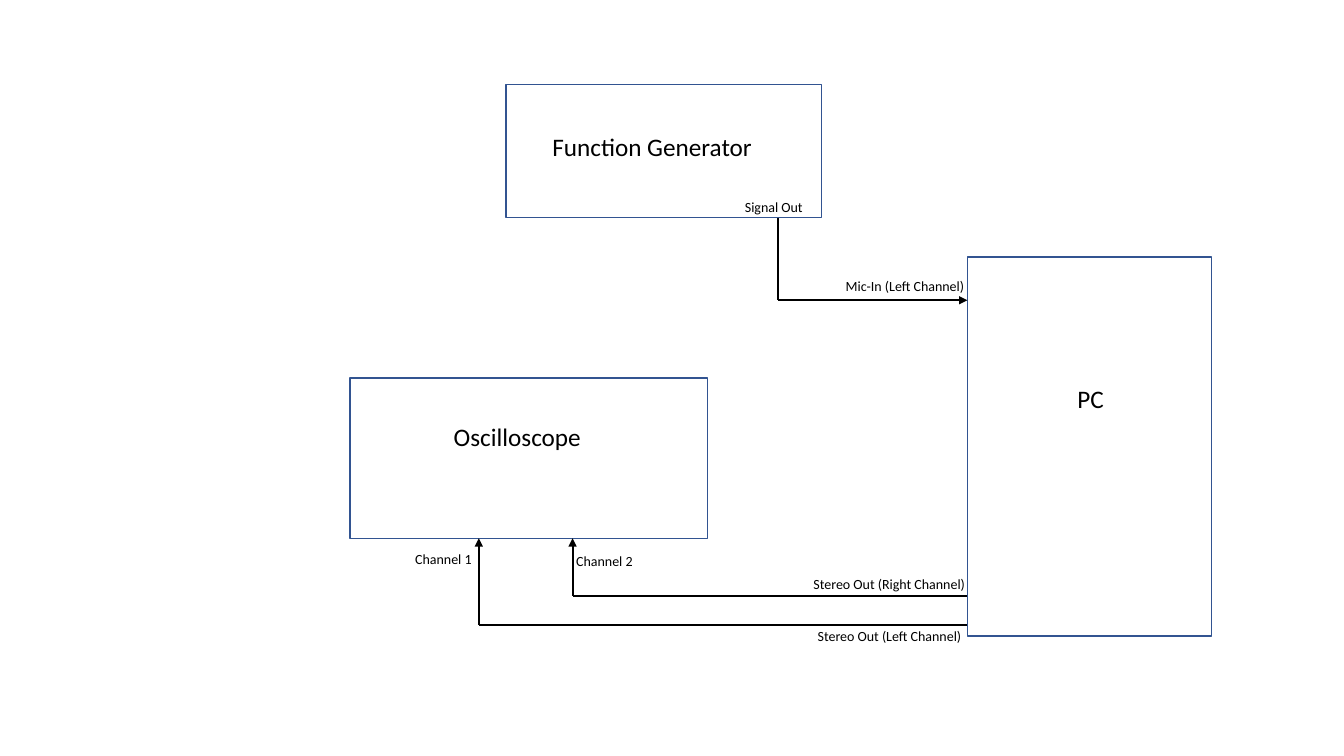
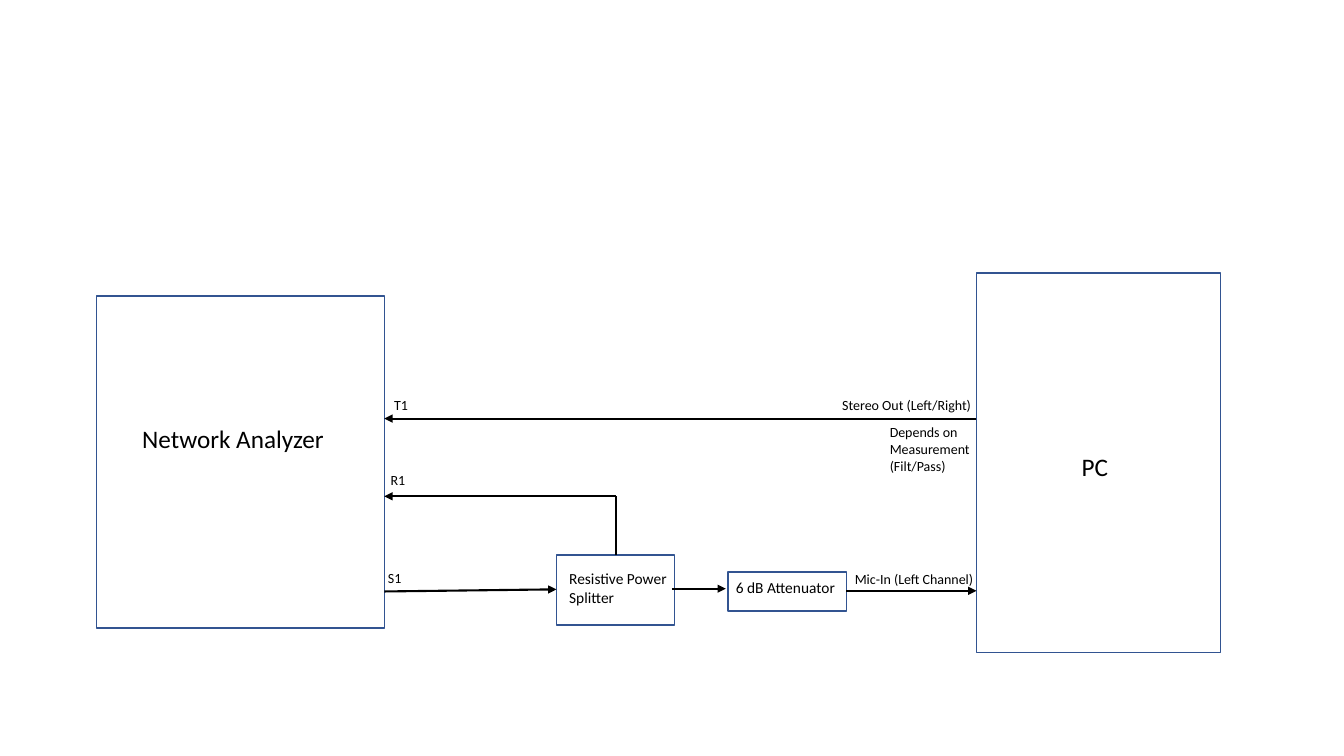
from itertools import pairwise
from lxml.etree import SubElement as Sub
from pptx import Presentation
from pptx.dml.color import RGBColor as RGB
from pptx.enum.shapes import MSO_CONNECTOR as Conn, MSO_SHAPE as Form
from pptx.enum.text import MSO_AUTO_SIZE as Fit
from pptx.oxml.ns import qn
from pptx.util import Pt

HUES = {"ink": "000000", "edge": "325491", "fill": "FFFFFF"}
PC = (174.5, 271)
UNIT = 84.5


class Deck:
    """Draws block diagrams in one style on the current slide."""

    font = "Calibri"
    title, unit, label = 18, 11, 10

    def __init__(self):
        self.show = Presentation()
        self.show.slide_width, self.show.slide_height = Pt(960), Pt(540)
        self.shapes = None

    def hue(self, name):
        return RGB.from_string(HUES[name])

    def page(self):
        self.shapes = self.show.slides.add_slide(self.show.slide_layouts[6]).shapes

    def box(self, x, y, w, h):
        rect = self.shapes.add_shape(Form.RECTANGLE, Pt(x), Pt(y), Pt(w), Pt(h))
        rect.shadow.inherit = False
        rect.fill.solid()
        rect.fill.fore_color.rgb = self.hue("fill")
        rect.line.color.rgb = self.hue("edge")
        rect.line.width = Pt(1)

    def text(self, words, x, y, w=103, size=label, rows=1):
        high = 1.2 * size * rows + 7.2
        frame = self.shapes.add_textbox(Pt(x), Pt(y), Pt(w), Pt(high)).text_frame
        frame.word_wrap = True
        frame.auto_size = Fit.SHAPE_TO_FIT_TEXT
        run = frame.paragraphs[0].add_run()
        run.text = words
        run.font.name = self.font
        run.font.size = Pt(size)
        run.font.color.rgb = self.hue("ink")

    def head(self, words, x, y, w=188.5):
        self.text(words, x, y, w, self.title)

    def wire(self, *stops):
        for start, end in pairwise(stops):
            ends = [Pt(n) for n in (*start, *end)]
            line = self.shapes.add_connector(Conn.STRAIGHT, *ends)
            line.line.color.rgb = self.hue("ink")
            line.line.width = Pt(1.5)
            props = line._element.spPr
            Sub(props, qn("a:effectLst"))
        Sub(props.find(qn("a:ln")), qn("a:tailEnd"), type="triangle")


def scope(deck):
    deck.page()
    left, base = 691, 384.5
    deck.box(left, 183.5, *PC)
    deck.box(361.5, 60.5, 225.5, 95)
    deck.box(250, 270, 255.5, 114.5)
    deck.head("Function Generator", 387.5, 90)
    deck.head("Oscilloscope", 317, 297.5)
    deck.head("PC", 762.5, 270, 62)
    deck.wire((556, 155.5), (556, 214.5), (left, 214.5))
    for x, y in ((409, 425.5), (342, 446.5)):
        deck.wire((left, y), (x, y), (x, base))
    deck.text("Signal Out", 525, 138, 63.5)
    deck.text("Mic-In (Left Channel)", 597, 195)
    deck.text("Stereo Out (Left Channel)", 577, 445, 119.5)
    deck.text("Stereo Out (Right Channel)", 574, 407.5, 126)
    deck.text("Channel 1", 289.5, 389.5)
    deck.text("Channel 2", 404.5, 391)


def network(deck):
    deck.page()
    left, port = 697.5, 274.5
    deck.box(left, 195, *PC)
    deck.box(69, 211.5, 205.5, 237)
    deck.box(397.5, 396.5, UNIT, 50)
    deck.box(520, 408.5, UNIT, 28)
    deck.head("Network Analyzer", 94.5, 299)
    deck.head("PC", 765.5, 319, 62)
    deck.text("Resistive Power Splitter", 399.5, 403, 92, deck.unit, 2)
    deck.text("6 dB Attenuator", 518.5, 409.5, 92, deck.unit)
    deck.wire((left, 299), (port, 299))
    deck.wire((440, 396.5), (440, 354.5), (port, 354.5))
    deck.wire((port, 422.5), (397.5, 421))
    deck.wire((480, 420.5), (518.5, 420.5))
    deck.wire((604.5, 422), (left, 422))
    deck.text("T1", 274.5, 279.5)
    deck.text("R1", 272, 333.5)
    deck.text("S1", 270, 403)
    deck.text("Stereo Out (Left/Right)", 594.5, 280, 126)
    deck.text("Depends on Measurement (Filt/Pass)", 628.5, 299, rows=3)
    deck.text("Mic-In (Left Channel)", 603.5, 404)


def main():
    deck = Deck()
    scope(deck)
    network(deck)
    deck.show.save("out.pptx")


if __name__ == "__main__":
    main()
